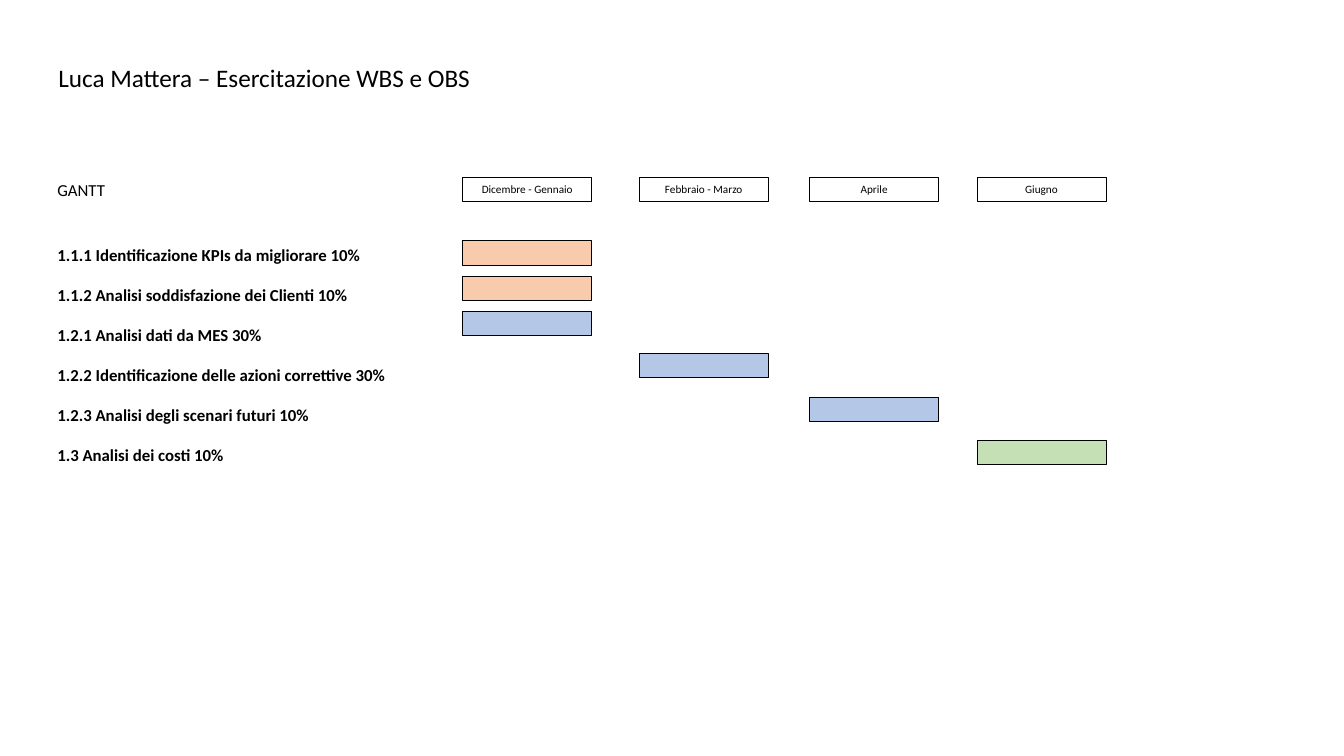
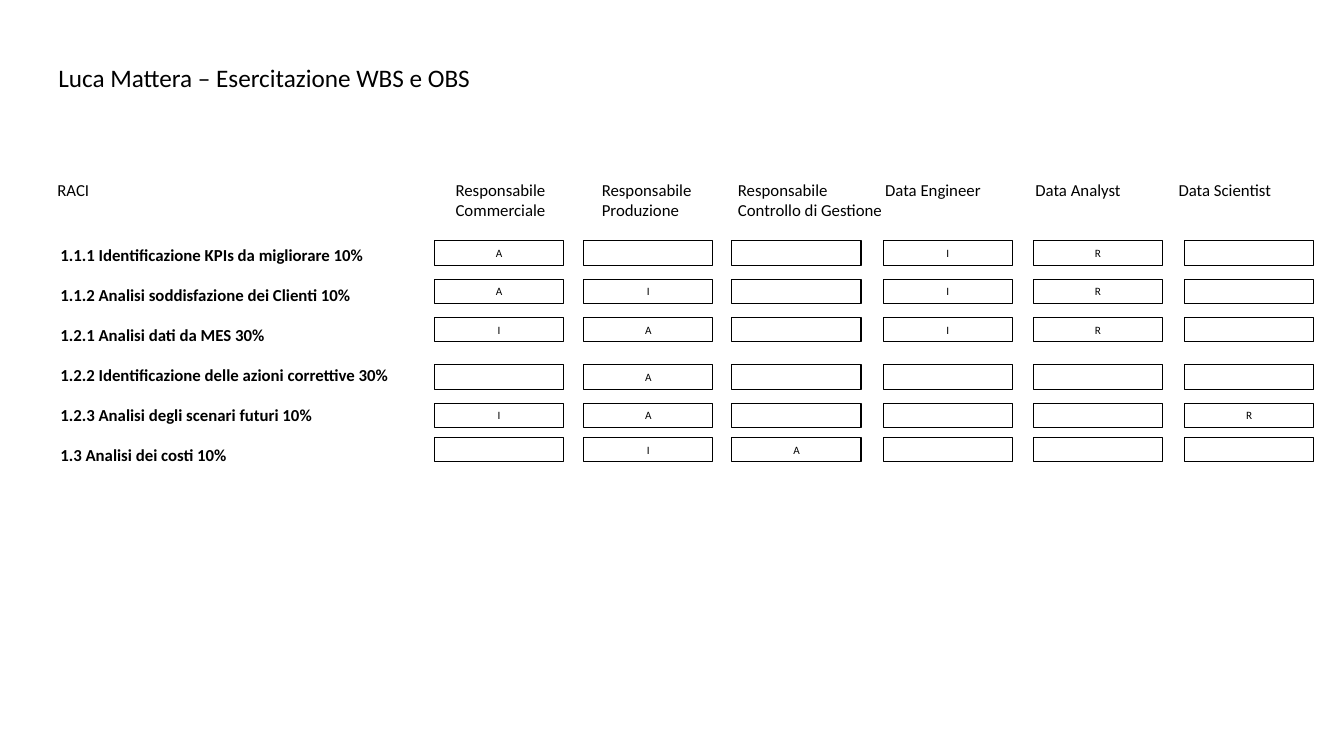
from typing import NamedTuple

from pptx import Presentation
from pptx.dml.color import RGBColor
from pptx.enum.shapes import MSO_SHAPE
from pptx.enum.text import MSO_ANCHOR, PP_ALIGN
from pptx.slide import Slide
from pptx.text.text import TextFrame
from pptx.util import Inches, Pt

FONT = "Calibri"
BLACK = RGBColor(0x00, 0x00, 0x00)
ORANGE = RGBColor(0xF8, 0xCB, 0xAD)
BLUE = RGBColor(0xB4, 0xC7, 0xE7)
GREEN = RGBColor(0xC5, 0xE0, 0xB4)

TITLE = "Luca Mattera – Esercitazione WBS e OBS"
HEADING_TOP = 1.73
HEADING_WIDTH = 1.75
CELL_WIDTH = 1.28
CELL_HEIGHT = 0.24
PERIOD_TOP = 1.76
RACI_ROW_TOPS = (2.39, 2.77, 3.15, 3.62, 4.0, 4.34)

TASKS = (
    "1.1.1 Identificazione KPIs da migliorare 10%",
    "1.1.2 Analisi soddisfazione dei Clienti 10%",
    "1.2.1 Analisi dati da MES 30%",
    "1.2.2 Identificazione delle azioni correttive 30%",
    "1.2.3 Analisi degli scenari futuri 10%",
    "1.3 Analisi dei costi 10%",
)


class Period(NamedTuple):
    name: str
    left: float


class Bar(NamedTuple):
    period: Period
    top: float
    color: RGBColor


class Role(NamedTuple):
    """A RACI column; duties holds one letter per task, or a dot for none."""

    name: str
    heading_left: float
    heading_height: float
    cell_left: float
    duties: str


WINTER = Period("Dicembre - Gennaio", 4.59)
SPRING = Period("Febbraio - Marzo", 6.34)
APRIL = Period("Aprile", 8.03)
JUNE = Period("Giugno", 9.69)
PERIODS = (WINTER, SPRING, APRIL, JUNE)

BARS = (
    Bar(WINTER, 2.39, ORANGE),
    Bar(WINTER, 2.74, ORANGE),
    Bar(WINTER, 3.09, BLUE),
    Bar(SPRING, 3.51, BLUE),
    Bar(APRIL, 3.94, BLUE),
    Bar(JUNE, 4.37, GREEN),
)

ROLES = (
    Role("Responsabile Commerciale", 4.42, 0.5, 4.31, "AAI.I."),
    Role("Responsabile Produzione", 5.87, 0.5, 5.79, ".IAAAI"),
    Role("Responsabile Controllo di Gestione", 7.22, 0.5, 7.26, ".....A"),
    Role("Data Engineer", 8.68, 0.3, 8.76, "III..."),
    Role("Data Analyst", 10.17, 0.3, 10.25, "RRR..."),
    Role("Data Scientist", 11.59, 0.3, 11.75, "....R."),
)


def write_lines(
    frame: TextFrame,
    lines: tuple[str, ...],
    size: float,
    bold: bool = False,
    align: PP_ALIGN = PP_ALIGN.LEFT,
    gap: float = 0,
) -> None:
    """Write one paragraph per line, with gap points after each."""
    for index, line in enumerate(lines):
        para = frame.add_paragraph() if index else frame.paragraphs[0]
        para.alignment = align
        para.space_after = Pt(gap)
        span = para.add_run()
        span.text = line
        span.font.name = FONT
        span.font.size = Pt(size)
        span.font.bold = bold
        span.font.color.rgb = BLACK


def add_text(
    page: Slide,
    left: float,
    top: float,
    width: float,
    height: float,
    lines: tuple[str, ...],
    size: float = 12,
    bold: bool = False,
    gap: float = 0,
) -> None:
    box = page.shapes.add_textbox(Inches(left), Inches(top), Inches(width), Inches(height))
    box.text_frame.word_wrap = True
    write_lines(box.text_frame, lines, size, bold, gap=gap)


def add_cell(
    page: Slide, left: float, top: float, text: str = "", color: RGBColor | None = None
) -> None:
    """Draw an outlined box, unfilled when no color is given."""
    cell = page.shapes.add_shape(
        MSO_SHAPE.RECTANGLE, Inches(left), Inches(top), Inches(CELL_WIDTH), Inches(CELL_HEIGHT)
    )
    cell.shadow.inherit = False
    if color is None:
        cell.fill.background()
    else:
        cell.fill.solid()
        cell.fill.fore_color.rgb = color
    cell.line.color.rgb = BLACK
    cell.line.width = Pt(0.75)
    if text:
        cell.text_frame.word_wrap = True
        cell.text_frame.vertical_anchor = MSO_ANCHOR.MIDDLE
        write_lines(cell.text_frame, (text,), 8, align=PP_ALIGN.CENTER)


def add_page(deck: Presentation, heading: str, tasks_left: float) -> Slide:
    """Add a page with the shared title, its heading and the task list."""
    page = deck.slides.add_slide(deck.slide_layouts[6])
    add_text(page, 0.48, 0.57, 5.4, 0.4, (TITLE,), size=18)
    add_text(page, 0.47, HEADING_TOP, HEADING_WIDTH, 0.3, (heading,))
    add_text(page, tasks_left, 2.38, 12.13, 3.13, TASKS, bold=True, gap=14.2)
    return page


def add_gantt_page(deck: Presentation) -> None:
    page = add_page(deck, "GANTT", 0.47)
    for bar in BARS:
        add_cell(page, bar.period.left, bar.top, color=bar.color)
    for period in PERIODS:
        add_cell(page, period.left, PERIOD_TOP, period.name)


def add_raci_page(deck: Presentation) -> None:
    page = add_page(deck, "RACI", 0.5)
    for role in ROLES:
        add_text(
            page, role.heading_left, HEADING_TOP, HEADING_WIDTH, role.heading_height, (role.name,)
        )
        for top, duty in zip(RACI_ROW_TOPS, role.duties):
            add_cell(page, role.cell_left, top, duty.strip("."))


def main() -> None:
    deck = Presentation()
    deck.slide_width = Inches(13.33)
    deck.slide_height = Inches(7.5)
    add_gantt_page(deck)
    add_raci_page(deck)
    deck.save("out.pptx")


if __name__ == "__main__":
    main()
